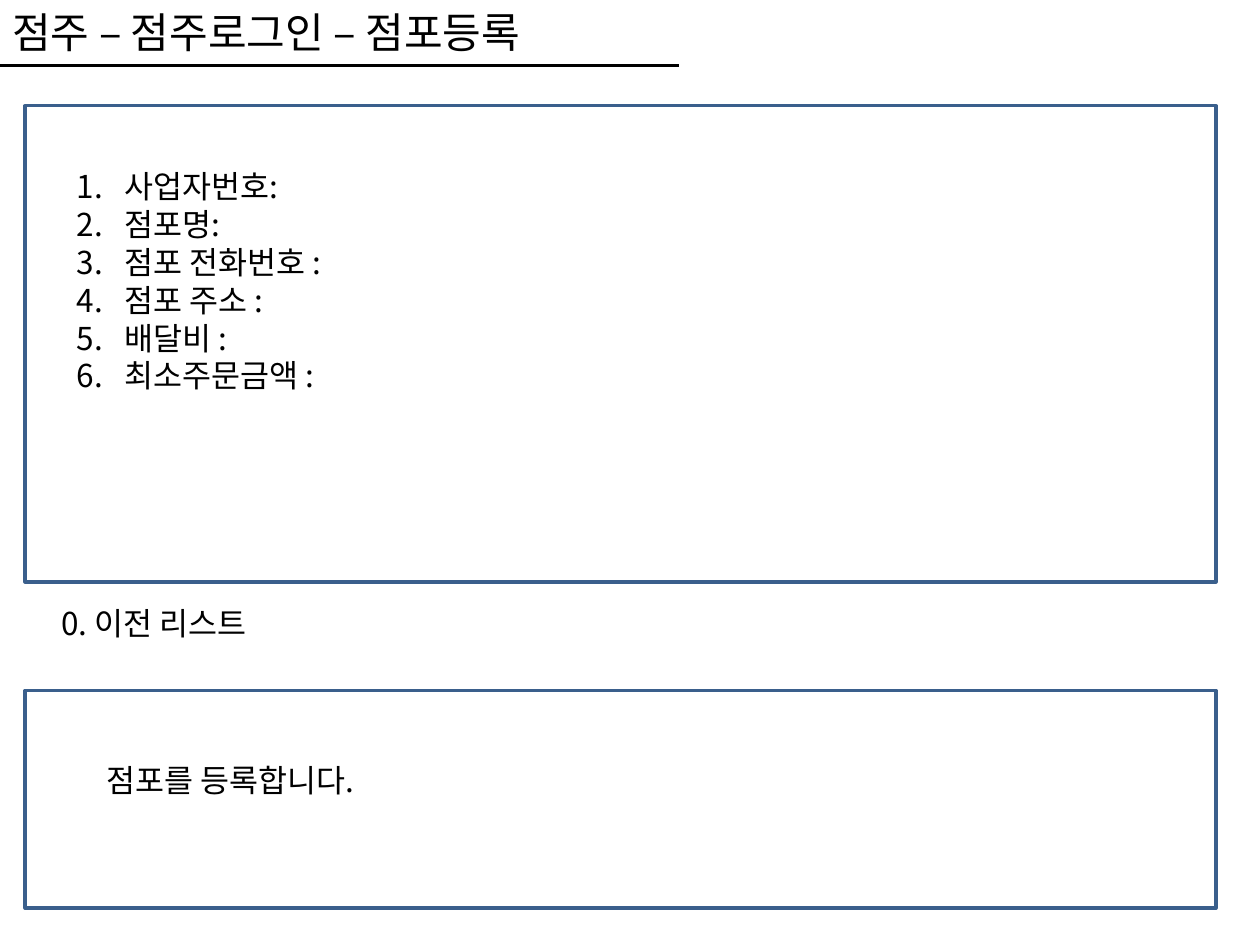
from lxml.etree import SubElement
from pptx import Presentation
from pptx.dml.color import RGBColor
from pptx.enum.shapes import MSO_CONNECTOR as CONN, MSO_SHAPE as SHAPE
from pptx.enum.text import MSO_AUTO_SIZE as AUTO
from pptx.oxml.ns import qn
from pptx.util import Cm, Pt

FONT = "Noto Sans CJK KR"
BLACK = RGBColor(0x00, 0x00, 0x00)
BLUE = RGBColor(0x3A, 0x5F, 0x8C)

TITLE = "점주 – 점주로그인 – 점포등록"
FIELDS = ["사업자번호:", "점포명:", "점포 전화번호 :", "점포 주소 :", "배달비 :", "최소주문금액 :"]
BACK = "0. 이전 리스트"
MESSAGE = "점포를 등록합니다."

PANEL_LEFT, PANEL_WIDTH = 0.51, 24
PANELS = [(2.13, 9.6), (13.92, 4.39)]
INDENT = Cm(0.97)


def add_text(s, lines, left, top, width, height, size=18, numbered=False):
    tf = s.shapes.add_textbox(Cm(left), Cm(top), Cm(width), Cm(height)).text_frame
    tf.word_wrap = True
    tf.auto_size = AUTO.SHAPE_TO_FIT_TEXT
    for i, line in enumerate(lines):
        p = tf.paragraphs[0] if i == 0 else tf.add_paragraph()
        if numbered:
            pPr = p._p.get_or_add_pPr()
            pPr.set("marL", str(INDENT))
            pPr.set("indent", str(-INDENT))
            SubElement(pPr, qn("a:buFont"), typeface="+mj-lt")
            SubElement(pPr, qn("a:buAutoNum"), type="arabicPeriod")
        r = p.add_run()
        r.text = line
        r.font.size = Pt(size)
        r.font.color.rgb = BLACK
        r.font.name = FONT
        SubElement(r._r.get_or_add_rPr(), qn("a:ea"), typeface=FONT)


def add_panel(s, top, height):
    sp = s.shapes.add_shape(SHAPE.RECTANGLE, Cm(PANEL_LEFT), Cm(top), Cm(PANEL_WIDTH), Cm(height))
    sp.shadow.inherit = False
    sp.fill.background()
    sp.line.color.rgb = BLUE
    sp.line.width = Pt(2)


def add_rule(s, y, width):
    rule = s.shapes.add_connector(CONN.STRAIGHT, Cm(0), Cm(y), Cm(width), Cm(y))
    rule.line.color.rgb = BLACK
    rule.line.width = Pt(1.75)
    SubElement(rule._element.spPr, qn("a:effectLst"))


def main():
    prs = Presentation()
    prs.slide_width, prs.slide_height = Cm(25.4), Cm(19.05)
    s = prs.slides.add_slide(prs.slide_layouts[6])
    for top, height in PANELS:
        add_panel(s, top, height)
    add_rule(s, 1.32, 13.69)
    add_text(s, [TITLE], 0, 0, 17.7, 1.28, size=24)
    add_text(s, FIELDS, 1.3, 3.25, 9.6, 5.64, numbered=True)
    add_text(s, [BACK], 0.99, 12.06, 11, 1.02)
    add_text(s, [MESSAGE], 1.9, 15.21, 11, 1.02)
    prs.save("out.pptx")


if __name__ == "__main__":
    main()
